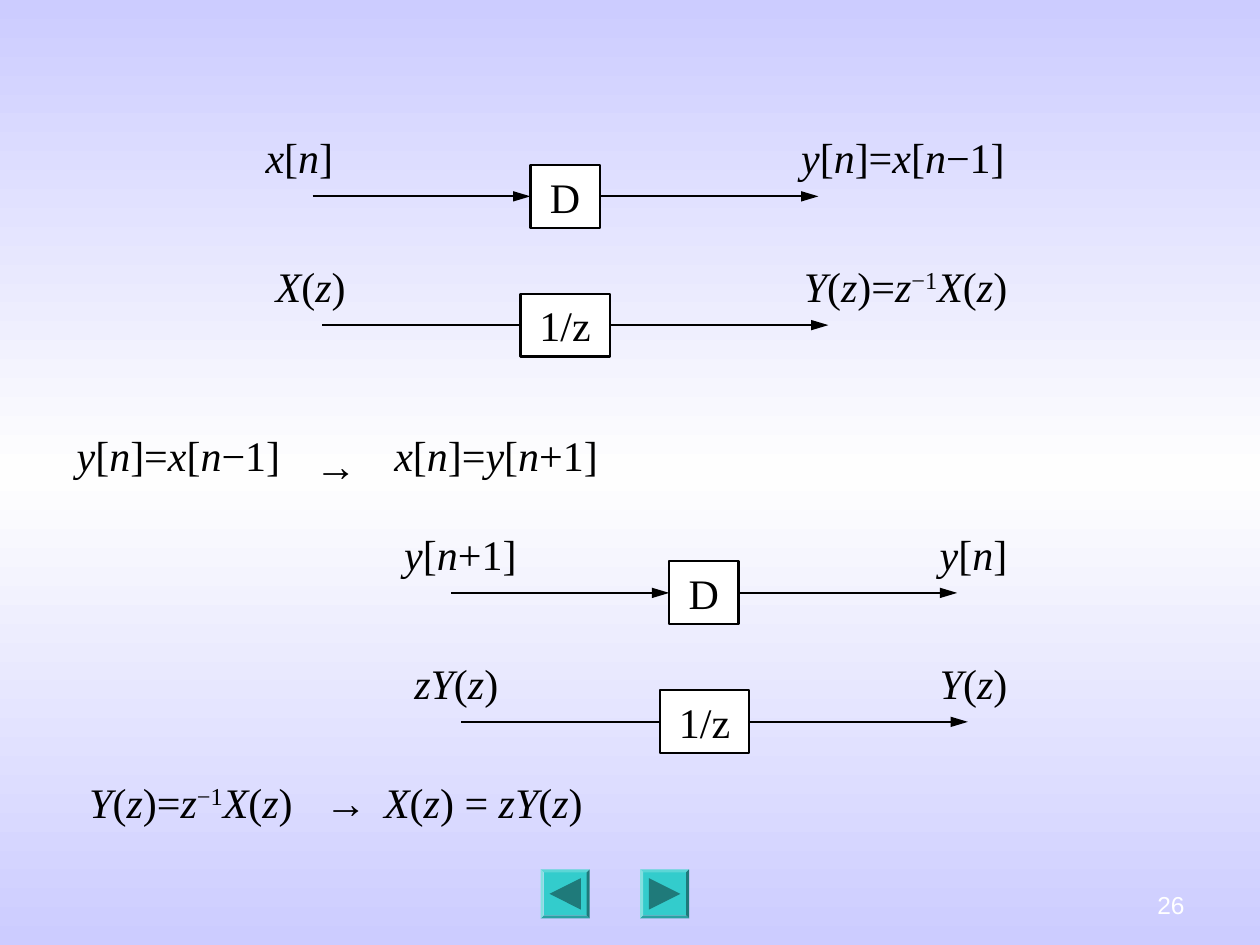
import copy
import itertools

import pptx
import pptx.dml.color
import pptx.enum.shapes
import pptx.enum.text
import pptx.oxml
import pptx.oxml.ns
import pptx.util

Pt = pptx.util.Pt
SHAPES = pptx.enum.shapes.MSO_SHAPE
ANCHOR = pptx.enum.text.MSO_ANCHOR
ALIGN = pptx.enum.text.PP_ALIGN
COLORS = {
    name: pptx.dml.color.RGBColor.from_string(value)
    for name, value in {
        "edge": "CCCCFF", "middle": "FEFEFE", "ink": "000000",
        "white": "FFFFFF", "button": "33CCCC", "symbol": "1F7A7A",
    }.items()
}
BOX_HEIGHT = 36
LINE_WIDTH = 1.25

presentation = pptx.Presentation()
presentation.slide_width, presentation.slide_height = Pt(720), Pt(540)
slide = presentation.slides.add_slide(presentation.slide_layouts[6])
shapes = slide.shapes

background = slide.background.fill
background.gradient()
background.gradient_angle = 270
for stop in background.gradient_stops:
    stop.color.rgb = COLORS["edge"]
stop_list = slide.background._cSld.xpath(".//a:gsLst")[0]
stop_list.insert(1, copy.deepcopy(stop_list[0]))
for stop, position in zip(background.gradient_stops, (0, 0.5, 1)):
    stop.position = position
background.gradient_stops[1].color.rgb = COLORS["middle"]


def add_formula(left, top, width, formula):
    """Add a formula: letters are italic, text between ^ marks is raised."""
    box = shapes.add_textbox(Pt(left), Pt(top), Pt(width), Pt(BOX_HEIGHT))
    box.text_frame.word_wrap = True
    paragraph = box.text_frame.paragraphs[0]
    for index, part in enumerate(formula.split("^")):
        for italic, letters in itertools.groupby(part, str.isalpha):
            run = paragraph.add_run()
            run.text = "".join(letters)
            run.font.name, run.font.size = "Times New Roman", Pt(24)
            run.font.italic = italic
            run.font.color.rgb = COLORS["ink"]
            if index % 2:
                run._r.get_or_add_rPr().set("baseline", "30000")


def add_arrow(start, end, y):
    arrow = shapes.add_connector(
        pptx.enum.shapes.MSO_CONNECTOR.STRAIGHT, Pt(start), Pt(y), Pt(end), Pt(y))
    arrow.line.color.rgb = COLORS["ink"]
    arrow.line.width = Pt(LINE_WIDTH)
    namespace = pptx.oxml.ns.nsdecls("a")
    arrow.line._get_or_add_ln().append(pptx.oxml.parse_xml(
        f'<a:tailEnd {namespace} type="triangle" w="med" len="lg"/>'))
    arrow._element.spPr.append(pptx.oxml.parse_xml(f"<a:effectLst {namespace}/>"))
    return arrow


# Each system: block text, block width, block centre, line height, input start,
# then (left, width, formula) of the input and output labels
systems = [
    ("D", 39.6, 322.9, 112.2, 178.6,
     (144.7, 56, "x[n]"), (450.7, 134, "y[n]=x[n−1]")),
    ("1/z", 51, 322.9, 185.8, 184.3,
     (150.5, 58, "X(z)"), (452.2, 134, "Y(z)=z^−1^X(z)")),
    ("D", 39.6, 402.2, 338.8, 257.8,
     (223.9, 82, "y[n+1]"), (529.9, 62.6, "y[n]")),
    ("1/z", 51, 402.6, 412.5, 263.5,
     (229.7, 66, "zY(z)"), (529.9, 56, "Y(z)")),
]
for name, width, center, y, start, input_label, output_label in systems:
    left, right = center - width / 2, center + width / 2
    input_arrow = add_arrow(start, start + 124.6, y)
    block = shapes.add_shape(
        SHAPES.RECTANGLE, Pt(left), Pt(y - BOX_HEIGHT / 2), Pt(width), Pt(BOX_HEIGHT))
    block.shadow.inherit = False
    block.fill.solid()
    block.fill.fore_color.rgb = COLORS["white"]
    block.line.color.rgb = COLORS["ink"]
    block.line.width = Pt(LINE_WIDTH)
    block.text_frame.text = name
    block.text_frame.vertical_anchor = ANCHOR.TOP
    paragraph = block.text_frame.paragraphs[0]
    paragraph.alignment = ALIGN.CENTER
    font = paragraph.runs[0].font
    font.name, font.size = "Times New Roman", Pt(24)
    font.color.rgb = COLORS["ink"]
    if name == "D":  # the input line of 1/z runs on behind its block
        input_arrow.end_connect(block, 1)
    add_arrow(right, right + 125, y).begin_connect(block, 3)
    for label_left, label_width, formula in (input_label, output_label):
        add_formula(label_left, y - 40.5, label_width, formula)

add_formula(36.7, 242, 134, "y[n]=x[n−1]")
add_formula(172.8, 247.7, 56.9, "→")
add_formula(218.2, 242, 134, "x[n]=y[n+1]")
add_formula(43.9, 440, 134, "Y(z)=z^−1^X(z)")
add_formula(178.6, 440, 56.9, "→")
add_formula(212.4, 440, 132, "X(z) = zY(z)")

# Navigation buttons; each triangle points the way it leads
button_size, button_top, symbol_size = 28, 496.8, 18
margin = (button_size - symbol_size) / 2
for left, direction in ((309, -1), (365.8, 1)):
    button = shapes.add_shape(
        SHAPES.BEVEL, Pt(left), Pt(button_top), Pt(button_size), Pt(button_size))
    button.adjustments[0] = 0.06
    near, far = left + margin, left + margin + symbol_size
    base, tip = (near, far) if direction > 0 else (far, near)
    top, bottom = button_top + margin, button_top + margin + symbol_size
    builder = shapes.build_freeform(Pt(base), Pt(top))
    builder.add_line_segments(
        [(Pt(tip), Pt((top + bottom) / 2)), (Pt(base), Pt(bottom))], close=True)
    symbol = builder.convert_to_shape()
    for shape, color in ((button, "button"), (symbol, "symbol")):
        shape.shadow.inherit = False
        shape.fill.solid()
        shape.fill.fore_color.rgb = COLORS[color]
        shape.line.fill.background()

page_number = shapes.add_textbox(Pt(516.2), Pt(491.8), Pt(167.8), Pt(37.4))
page_number.text_frame.word_wrap = True
page_number.text_frame.vertical_anchor = ANCHOR.BOTTOM
page_number.text_frame.text = "26"
paragraph = page_number.text_frame.paragraphs[0]
paragraph.alignment = ALIGN.RIGHT
font = paragraph.runs[0].font
font.name, font.size = "Arial", Pt(14)
font.color.rgb = COLORS["white"]

presentation.save("out.pptx")
